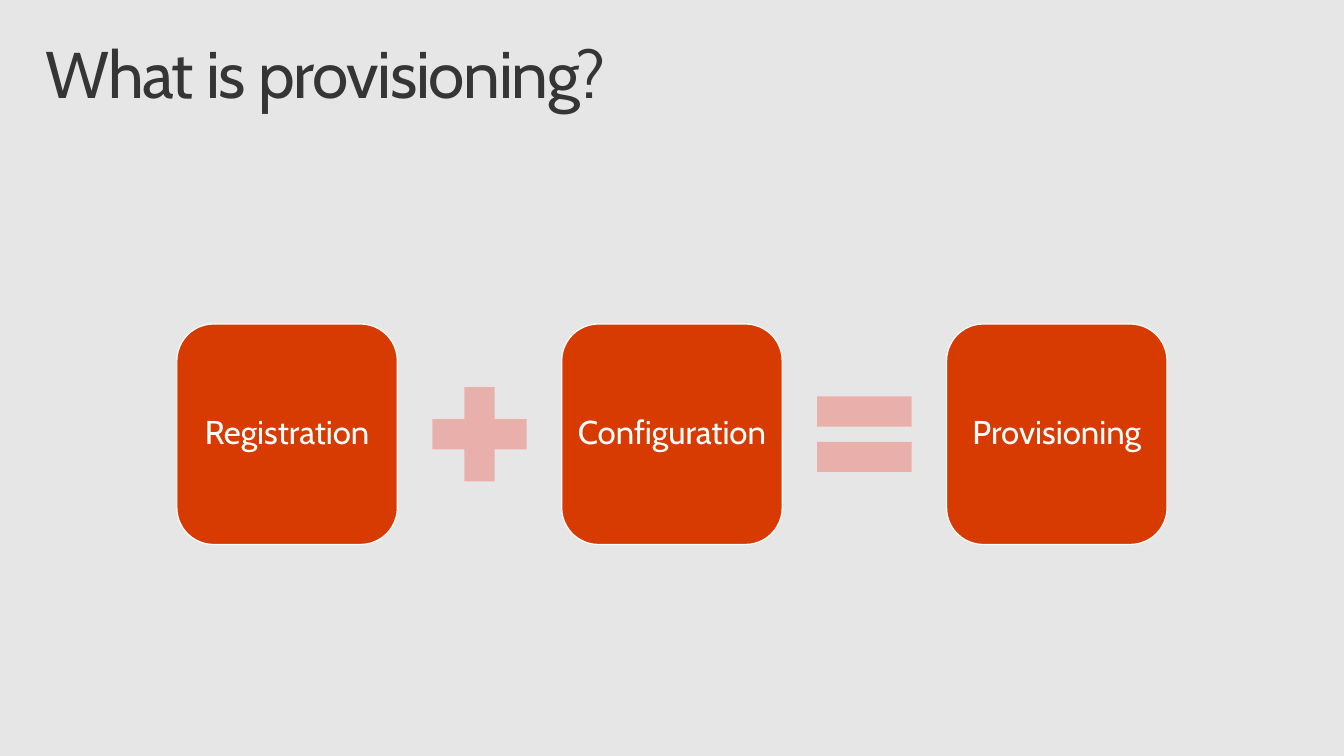
from dataclasses import dataclass

from pptx import Presentation
from pptx.dml.color import RGBColor
from pptx.enum.shapes import MSO_SHAPE
from pptx.enum.text import MSO_ANCHOR, MSO_AUTO_SIZE, PP_ALIGN
from pptx.shapes.autoshape import Shape
from pptx.slide import Slide
from pptx.text.text import TextFrame
from pptx.util import Pt

FONT = "Cabin"
LEFT, STEP, MID = 128.9, 280.4, 316.4
BOX, SIGN = 160.6, 93.6


@dataclass
class Term:
    name: str
    sign: MSO_SHAPE | None = None


TERMS = [
    Term("Registration", MSO_SHAPE.MATH_PLUS),
    Term("Configuration", MSO_SHAPE.MATH_EQUAL),
    Term("Provisioning"),
]


def color(code: str) -> RGBColor:
    return RGBColor.from_string(code)


def write(frame: TextFrame, text: str, size: float, code: str,
          align: PP_ALIGN, pad: tuple[float, float]) -> None:
    """Fill the frame with one formatted run; pad is (side, top)."""
    frame.word_wrap = True
    frame.auto_size = MSO_AUTO_SIZE.NONE
    frame.margin_left = frame.margin_right = Pt(pad[0])
    frame.margin_top = frame.margin_bottom = Pt(pad[1])
    para = frame.paragraphs[0]
    para.alignment = align
    para.line_spacing = 0.9
    run = para.add_run()
    run.text = text
    run.font.name = FONT
    run.font.size = Pt(size)
    run.font.color.rgb = color(code)


def add_title(slide: Slide, text: str) -> None:
    title = slide.shapes.title
    title.left, title.top = Pt(21.6), Pt(23)
    title.width, title.height = Pt(936), Pt(72)
    frame = title.text_frame
    frame.vertical_anchor = MSO_ANCHOR.TOP
    write(frame, text, 48, "353535", PP_ALIGN.LEFT, (11.5, 7.2))
    run = frame.paragraphs[0].runs[0]
    run.font._element.set("spc", "-100")


def add_block(slide: Slide, kind: MSO_SHAPE, mid: float, size: float,
              fill: str) -> Shape:
    """Add a square shape centred at mid on the row."""
    shape = slide.shapes.add_shape(
        kind, Pt(mid - size / 2), Pt(MID - size / 2), Pt(size), Pt(size))
    shape.shadow.inherit = False
    shape.fill.solid()
    shape.fill.fore_color.rgb = color(fill)
    shape.line.fill.background()
    return shape


def add_term(slide: Slide, term: Term, mid: float) -> None:
    box = add_block(slide, MSO_SHAPE.FLOWCHART_ALTERNATE_PROCESS, mid, BOX,
                    "D83B01")
    box.line.color.rgb = color("FFFFFF")
    box.line.width = Pt(0.85)
    box.text_frame.vertical_anchor = MSO_ANCHOR.MIDDLE
    write(box.text_frame, term.name, 24, "FFFFFF", PP_ALIGN.CENTER, (2, 2))
    if term.sign is not None:
        add_block(slide, term.sign, mid + STEP / 2, SIGN, "E9AFAB")


def main() -> None:
    deck = Presentation()
    deck.slide_width, deck.slide_height = Pt(979.2), Pt(550.8)
    slide = deck.slides.add_slide(deck.slide_layouts[5])
    back = slide.background.fill
    back.solid()
    back.fore_color.rgb = color("E6E6E6")
    add_title(slide, "What is provisioning?")
    for i, term in enumerate(TERMS):
        add_term(slide, term, LEFT + BOX / 2 + i * STEP)
    deck.save("out.pptx")


if __name__ == "__main__":
    main()
